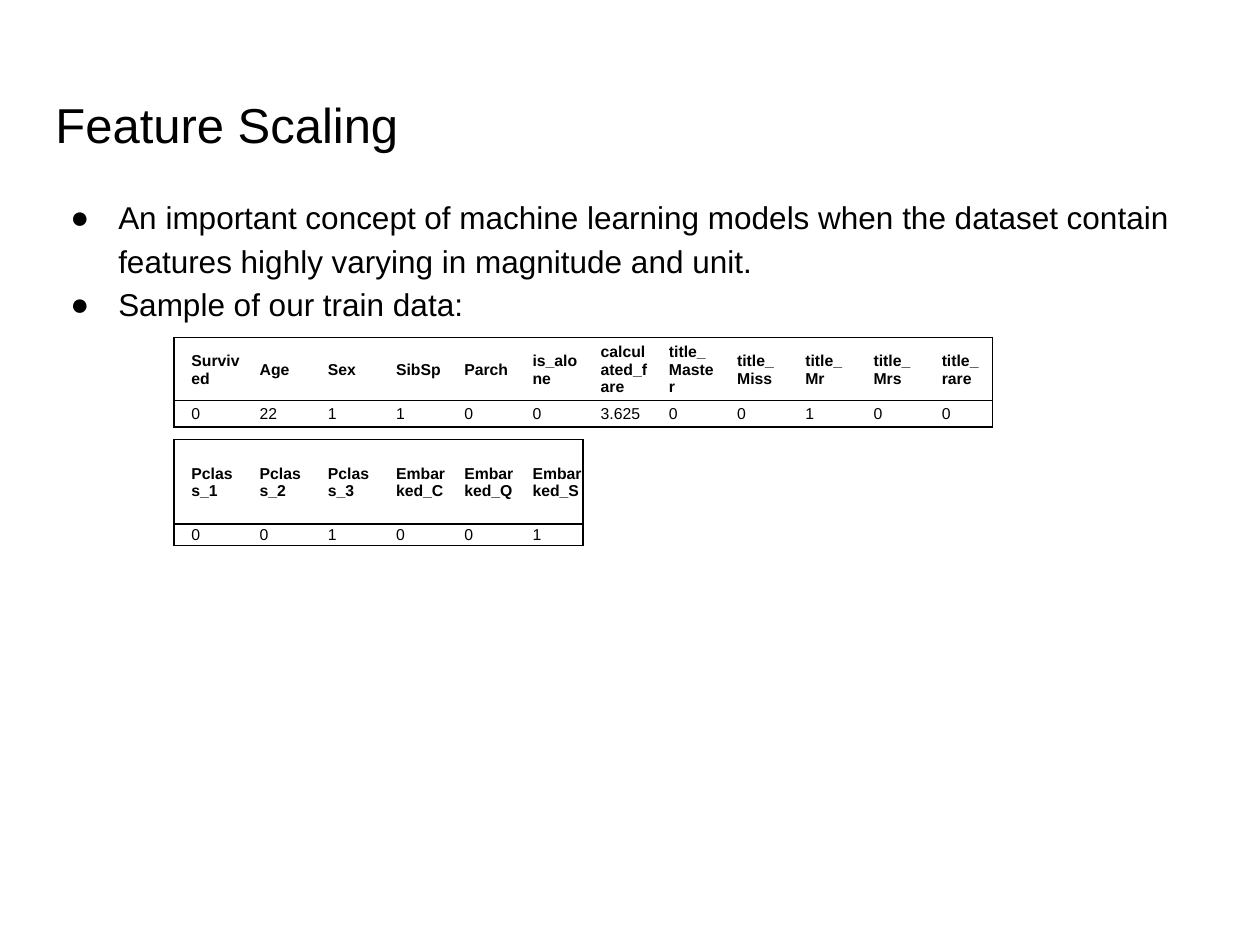
"""Build the Feature Scaling slide with two sample tables of the train data."""
import pptx
import pptx.dml.color
import pptx.enum.text
import pptx.oxml
import pptx.oxml.ns
import pptx.util
from lxml import etree

THEME = {
    "font": "Arial",
    "ink": pptx.dml.color.RGBColor.from_string("000000"),
    "paper": pptx.dml.color.RGBColor.from_string("FFFFFF"),
    "title": pptx.util.Pt(28),
    "body": pptx.util.Pt(18),
    "cell": pptx.util.Pt(9),
    "rule": pptx.util.Pt(1),
}
BULLETS = [
    "An important concept of machine learning models when the dataset contain "
    "features highly varying in magnitude and unit.",
    "Sample of our train data:",
]
SAMPLES = [
    (35.73, (6.67, 2.8), [
        ["Survived", "Age", "Sex", "SibSp", "Parch", "is_alone", "calculated_fare",
         "title_ Master", "title_ Miss", "title_ Mr", "title_ Mrs", "title_ rare"],
        ["0", "22", "1", "1", "0", "0", "3.625", "0", "0", "1", "0", "0"],
    ]),
    (46.53, (8.93, 2.27), [
        ["Pclass_1", "Pclass_2", "Pclass_3", "Embarked_C", "Embarked_Q", "Embarked_S"],
        ["0", "0", "1", "0", "0", "1"],
    ]),
]

deck = pptx.Presentation()
deck.slide_width = pptx.util.Inches(10)
deck.slide_height = pptx.util.Inches(7.5)
across = deck.slide_width / 100
down = deck.slide_height / 100
margin, text_width = round(3.4 * across), round(93.2 * across)
column_width = round(65 * across / 12)
page = deck.slides.add_slide(deck.slide_layouts[5])


def style(paragraph, size, bold=False):
    paragraph.alignment = pptx.enum.text.PP_ALIGN.LEFT
    paragraph.font.name = THEME["font"]
    paragraph.font.size = size
    paragraph.font.bold = bold
    paragraph.font.color.rgb = THEME["ink"]


def add_border(cell, side, visible):
    properties = cell._tc.get_or_add_tcPr()
    line = etree.SubElement(properties, pptx.oxml.ns.qn(f"a:ln{side}"), w=str(THEME["rule"]))
    if visible:
        fill = etree.SubElement(line, pptx.oxml.ns.qn("a:solidFill"))
        etree.SubElement(fill, pptx.oxml.ns.qn("a:srgbClr"), val=str(THEME["ink"]))
    else:
        etree.SubElement(line, pptx.oxml.ns.qn("a:noFill"))


title = page.shapes.title
title.left, title.top = margin, round(8.67 * down)
title.width, title.height = text_width, round(11.07 * down)
title.text_frame.text = "Feature Scaling"
style(title.text_frame.paragraphs[0], THEME["title"])

body = page.shapes.add_textbox(margin, round(19.07 * down), text_width, round(70.13 * down))
body.text_frame.text = "\n".join(BULLETS)
for para in body.text_frame.paragraphs:
    style(para, THEME["body"])
    para.line_spacing = 1.15
    properties = para._p.get_or_add_pPr()
    properties.set("marL", str(pptx.util.Inches(0.5)))
    properties.set("indent", str(pptx.util.Inches(-0.38)))
    color = etree.SubElement(properties, pptx.oxml.ns.qn("a:buClr"))
    etree.SubElement(color, pptx.oxml.ns.qn("a:srgbClr"), val=str(THEME["ink"]))
    etree.SubElement(properties, pptx.oxml.ns.qn("a:buFont"), typeface=THEME["font"])
    etree.SubElement(properties, pptx.oxml.ns.qn("a:buChar"), char="●")
    properties.append(properties.find(pptx.oxml.ns.qn("a:defRPr")))

for box in (title, body):
    frame = box.text_frame
    frame.word_wrap = True
    frame.auto_size = pptx.enum.text.MSO_AUTO_SIZE.NONE
    frame.vertical_anchor = pptx.enum.text.MSO_ANCHOR.TOP
    frame.margin_left = frame.margin_right = pptx.util.Inches(0.1)
    frame.margin_top = frame.margin_bottom = pptx.util.Inches(0.1)

for top, heights, rows in SAMPLES:
    count = len(rows[0])
    table = page.shapes.add_table(
        len(rows), count, round(13.8 * across), round(top * down),
        count * column_width, round(sum(heights) * down),
    ).table
    table.first_row = table.horz_banding = False
    for column in table.columns:
        column.width = column_width
    for row_index, (height, values) in enumerate(zip(heights, rows)):
        table.rows[row_index].height = round(height * down)
        for column_index, value in enumerate(values):
            cell = table.cell(row_index, column_index)
            cell.text = value
            style(cell.text_frame.paragraphs[0], THEME["cell"], bold=row_index == 0)
            cell.vertical_anchor = pptx.enum.text.MSO_ANCHOR.MIDDLE
            cell.margin_left = pptx.util.Inches(0.14)
            cell.margin_top = cell.margin_right = pptx.util.Inches(0.01)
            cell.margin_bottom = 0
            add_border(cell, "L", column_index == 0)
            add_border(cell, "R", column_index == count - 1)
            add_border(cell, "T", True)
            add_border(cell, "B", True)
            cell.fill.solid()
            cell.fill.fore_color.rgb = THEME["paper"]

deck.save("out.pptx")
